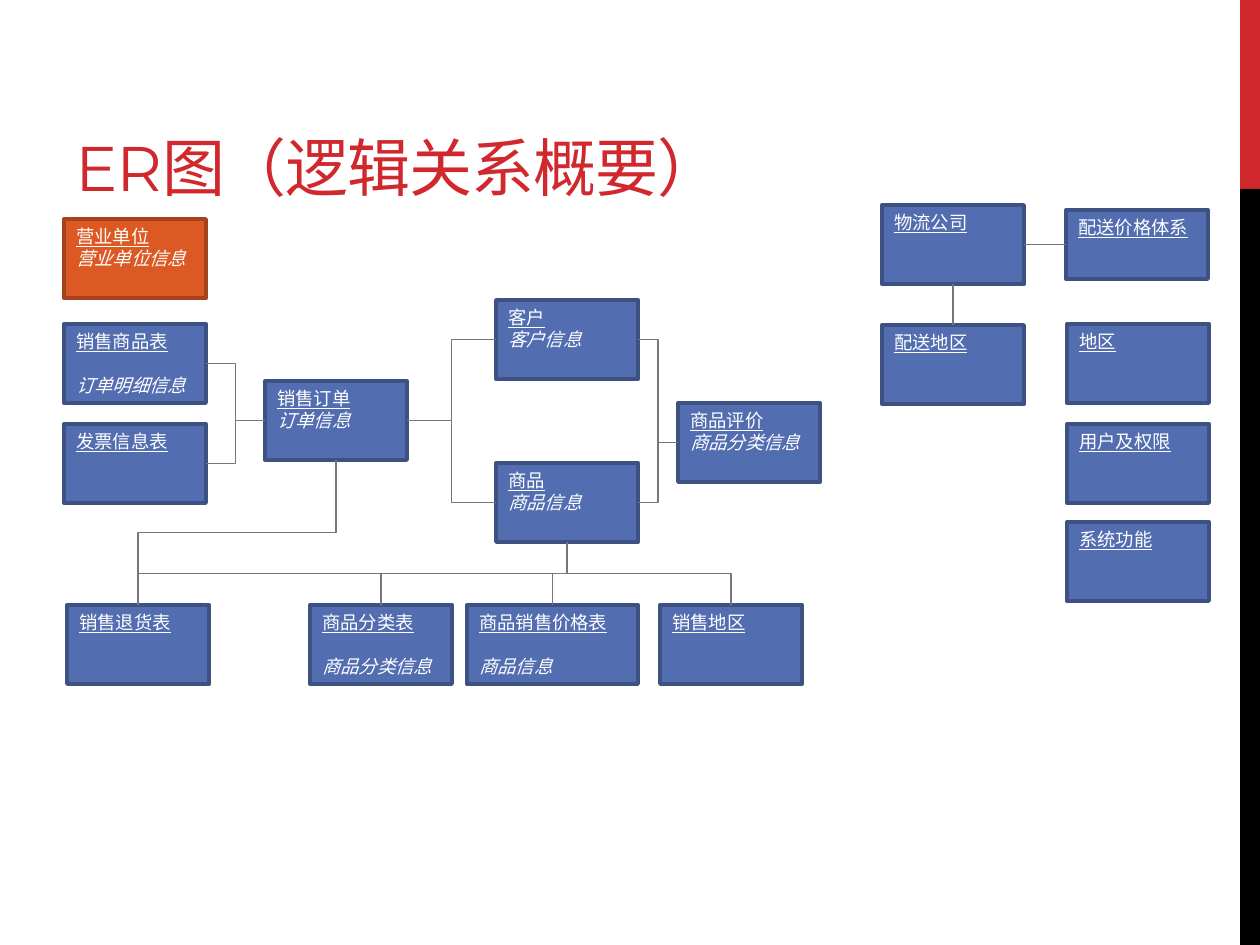
from lxml.etree import SubElement
from pptx import Presentation
from pptx.dml.color import RGBColor
from pptx.enum.shapes import MSO_CONNECTOR as LINE, MSO_SHAPE as SHAPE
from pptx.enum.text import MSO_ANCHOR as ANCHOR, PP_ALIGN as ALIGN
from pptx.oxml.ns import qn
from pptx.util import Pt

EMU_PER_PX = 914400 / 126
PAGE_SIZE = (1260, 945)
TITLE = "ER图（逻辑关系概要）"
TITLE_AREA = (63, 21, 1092, 189)
SIDE_BARS = [((1240, 0, 20, 189), "D1282E"), ((1240, 189, 20, 756), "000000")]

BOX_WIDTH, BOX_HEIGHT = 142, 79
BLUE, ORANGE = ("526DB0", "3D5182"), ("DC5924", "A3421B")
LINE_GREY, WHITE, RED = "777777", "FFFFFF", "D1282E"
LEFT, RIGHT_COLUMN, BOTTOM_ROW = 64, 1067, 605
FULL = 114  # underline across the whole text width

# name: (left, top, length of underline or None for the text only, information)
ENTITIES = {
    "客户": (496, 300, 78, "客户信息"),
    "商品": (496, 463, 73, "商品信息"),
    "销售订单": (265, 381, 110, "订单信息"),
    "销售商品表": (LEFT, 324, FULL, "订单明细信息"),
    "营业单位": (LEFT, 219, 110, "营业单位信息"),
    "发票信息表": (LEFT, 424, FULL, None),
    "销售退货表": (67, BOTTOM_ROW, FULL, None),
    "商品分类表": (310, BOTTOM_ROW, FULL, "商品分类信息"),
    "商品销售价格表": (467, BOTTOM_ROW, 142, "商品信息"),
    "销售地区": (660, BOTTOM_ROW, 110, None),
    "物流公司": (882, 205, 110, None),
    "配送价格体系": (1066, 210, None, None),
    "配送地区": (882, 325, 110, None),
    "地区": (RIGHT_COLUMN, 324, 73, None),
    "用户及权限": (RIGHT_COLUMN, 424, FULL, None),
    "系统功能": (RIGHT_COLUMN, 522, 110, None),
    "商品评价": (678, 403, None, "商品分类信息"),
}
SIZES = {"商品销售价格表": (171, BOX_HEIGHT), "配送价格体系": (BOX_WIDTH, 69)}
COLOURS = {"营业单位": ORANGE}
INFO_GAPS = {name: 12.6 for name in ("销售商品表", "商品分类表", "商品销售价格表")}

TOP, LEFT_SIDE, BOTTOM, RIGHT_SIDE = range(4)
ACROSS, DOWN = (RIGHT_SIDE, LEFT_SIDE), (BOTTOM, TOP)
RELATIONS = [
    ("销售订单", "客户", LINE.ELBOW, ACROSS),
    ("销售订单", "商品", LINE.ELBOW, ACROSS),
    ("销售商品表", "销售订单", LINE.ELBOW, ACROSS),
    ("发票信息表", "销售订单", LINE.ELBOW, ACROSS),
    ("客户", "商品评价", LINE.ELBOW, ACROSS),
    ("商品", "商品评价", LINE.ELBOW, ACROSS),
    ("销售订单", "销售退货表", LINE.ELBOW, DOWN),
    ("商品", "销售退货表", LINE.ELBOW, DOWN),
    ("商品", "商品分类表", LINE.ELBOW, DOWN),
    ("商品", "商品销售价格表", LINE.ELBOW, DOWN),
    ("商品", "销售地区", LINE.ELBOW, DOWN),
    ("物流公司", "配送价格体系", LINE.STRAIGHT, ACROSS),
    ("物流公司", "配送地区", LINE.STRAIGHT, DOWN),
]


def px(*lengths):
    return [round(length * EMU_PER_PX) for length in lengths]


def colour(hex_string):
    return RGBColor.from_string(hex_string)


def add_rectangle(page, area, fill, outline=None):
    box = page.shapes.add_shape(SHAPE.RECTANGLE, *px(*area))
    box.shadow.inherit = False
    box.fill.solid()
    box.fill.fore_color.rgb = colour(fill)
    if outline:
        box.line.color.rgb = colour(outline)
        box.line.width = Pt(2.25)
    else:
        box.line.fill.background()
    return box


def add_span(para, text, size, hex_string, font="Arial"):
    span = para.add_run()
    span.text = text
    span.font.size = Pt(size)
    span.font.name = font
    span.font.color.rgb = colour(hex_string)
    return span


def add_title(page):
    box = page.shapes.add_textbox(*px(*TITLE_AREA))
    frame = box.text_frame
    frame.word_wrap = True
    frame.vertical_anchor = ANCHOR.BOTTOM
    span = add_span(frame.paragraphs[0], TITLE, 36, RED, "Montserrat")
    span.font._element.set("spc", "-60")


def add_entity(page, name):
    left, top, underline, info = ENTITIES[name]
    area = (left, top, *SIZES.get(name, (BOX_WIDTH, BOX_HEIGHT)))
    box = add_rectangle(page, area, *COLOURS.get(name, BLUE))
    frame = box.text_frame
    frame.word_wrap = True
    frame.vertical_anchor = ANCHOR.TOP
    para = frame.paragraphs[0]
    para.alignment = ALIGN.LEFT
    add_span(para, name, 10.5, WHITE).font.underline = True
    if underline:
        tabs = SubElement(para._p.get_or_add_pPr(), qn("a:tabLst"))
        SubElement(tabs, qn("a:tab"), pos=str(px(underline)[0]), algn="l")
        add_span(para, "\t", 10.5, WHITE).font.underline = True
    if info:
        para = frame.add_paragraph()
        para.alignment = ALIGN.LEFT
        para.space_before = Pt(INFO_GAPS.get(name, 0))
        add_span(para, info, 10.5, WHITE).font.italic = True
    return box


def turn_downward(connector):
    """Turn an elbow so that it leaves and arrives vertically."""
    x1, y1 = connector.begin_x, connector.begin_y
    x2, y2 = connector.end_x, connector.end_y
    width, height = abs(y2 - y1), abs(x2 - x1)
    connector.left = (x1 + x2 - width) // 2
    connector.top = (y1 + y2 - height) // 2
    connector.width, connector.height = width, height
    frame = connector._element.spPr.find(qn("a:xfrm"))
    goes_right = x2 > x1
    frame.set("rot", "16200000" if goes_right else "5400000")
    frame.set("flipH", "1" if goes_right else "0")


def add_relation(page, start, end, kind, sides):
    connector = page.shapes.add_connector(kind, 0, 0, 0, 0)
    connector.begin_connect(start, sides[0])
    connector.end_connect(end, sides[1])
    if kind == LINE.ELBOW and sides == DOWN:
        turn_downward(connector)
    connector.line.color.rgb = colour(LINE_GREY)
    connector.line.width = Pt(1)
    SubElement(connector._element.spPr, qn("a:effectLst"))


def main():
    deck = Presentation()
    deck.slide_width, deck.slide_height = px(*PAGE_SIZE)
    page = deck.slides.add_slide(deck.slide_layouts[6])
    for area, fill in SIDE_BARS:
        add_rectangle(page, area, fill)
    add_title(page)
    boxes = {name: add_entity(page, name) for name in ENTITIES}
    for start, end, kind, sides in RELATIONS:
        add_relation(page, boxes[start], boxes[end], kind, sides)
    deck.save("out.pptx")


if __name__ == "__main__":
    main()
